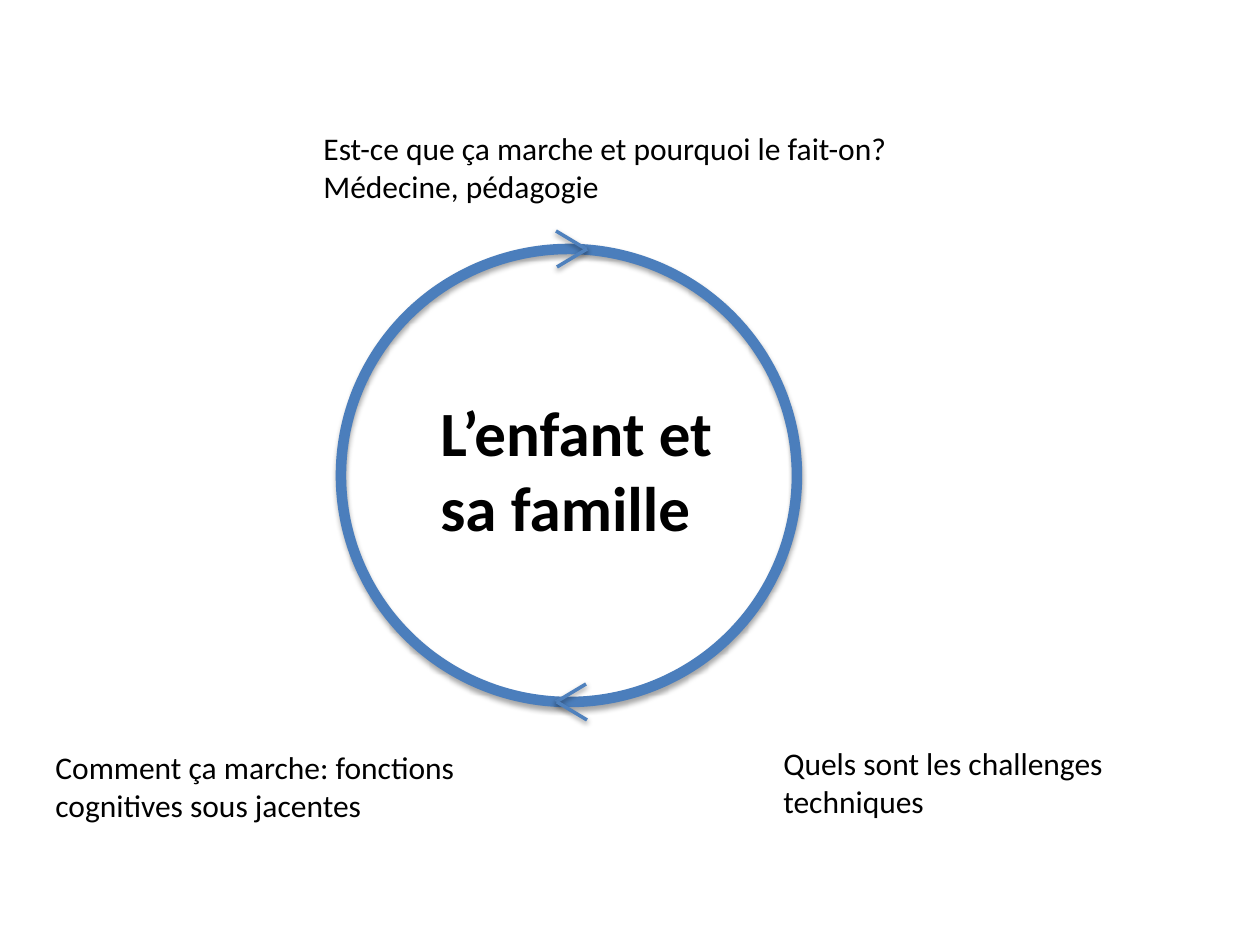
from lxml import etree
from pptx import Presentation
from pptx import util as u
from pptx.dml.color import RGBColor
from pptx.enum import shapes, text
from pptx.oxml import ns

PX_PER_INCH = 126
BLACK = RGBColor(0x00, 0x00, 0x00)
RING_BLUE = RGBColor(0x4B, 0x7E, 0xBC)
ARROW_BLUE = RGBColor(0x4F, 0x81, 0xBD)
FONT = "Calibri"


def px(length):
    """Turn a length in px into EMU."""
    return u.Emu(round(length * u.Inches(1) / PX_PER_INCH))


def add_shadow(shape, distance, opacity):
    """Give a shape a soft black shadow straight below it."""
    properties = shape._element.spPr
    effects = etree.SubElement(properties, ns.qn("a:effectLst"))
    shadow = etree.SubElement(
        effects, ns.qn("a:outerShdw"), blurRad=str(u.Pt(3.1)),
        dist=str(u.Pt(distance)), dir="5400000", rotWithShape="0")
    color = etree.SubElement(shadow, ns.qn("a:srgbClr"), val=str(BLACK))
    etree.SubElement(color, ns.qn("a:alpha"), val=str(opacity * 1000))


def add_text(page, content, left, top, width, height, size=18, bold=False):
    """Add a wrapped text box with one paragraph per line of content."""
    box = page.shapes.add_textbox(px(left), px(top), px(width), px(height))
    frame = box.text_frame
    frame.word_wrap = True
    frame.auto_size = text.MSO_AUTO_SIZE.SHAPE_TO_FIT_TEXT
    frame.text = content
    for para in frame.paragraphs:
        para.font.name = FONT
        para.font.size = u.Pt(size)
        para.font.bold = bold
        para.font.color.rgb = BLACK


def add_ring(page, left, top, width, height):
    """Add the unfilled circle of the cycle."""
    ring = page.shapes.add_shape(
        shapes.MSO_SHAPE.OVAL, px(left), px(top), px(width), px(height))
    ring.fill.background()
    ring.line.color.rgb = RING_BLUE
    ring.line.width = u.Pt(6)
    add_shadow(ring, distance=1.8, opacity=35)


def add_stroke(page, start, end):
    """Add one straight stroke of an arrowhead."""
    stroke = page.shapes.add_connector(
        shapes.MSO_CONNECTOR.STRAIGHT, *map(px, start + end))
    stroke.line.color.rgb = ARROW_BLUE
    stroke.line.width = u.Pt(2)
    add_shadow(stroke, distance=1.6, opacity=38)


def add_arrowhead(page, middle, tip_y, direction):
    """Add an open arrowhead pointing right (1) or left (-1)."""
    for side, offset in ((-1, 0), (1, 1)):
        center = middle + offset
        tail = (center - 15 * direction, tip_y + 18 * side)
        add_stroke(page, tail, (center + 15 * direction, tip_y))


def main():
    """Build the slide and save it."""
    deck = Presentation()
    deck.slide_width, deck.slide_height = px(1260), px(945)
    page = deck.slides.add_slide(deck.slide_layouts[6])
    add_text(page, "Est-ce que ça marche et pourquoi le fait-on? Médecine, pédagogie",
             311, 123, 611, 89)
    add_text(page, "Quels sont les challenges techniques", 771, 738, 461, 89)
    add_text(page, "Comment ça marche: fonctions cognitives sous jacentes",
             43, 742, 461, 89)
    ring_top, ring_height = 249, 453
    add_ring(page, 341, ring_top, 456, ring_height)
    add_arrowhead(page, 571, ring_top, direction=1)
    add_arrowhead(page, 571, ring_top + ring_height, direction=-1)
    add_text(page, "L’enfant et\nsa famille", 428, 387, 321, 165, size=36, bold=True)
    deck.save("out.pptx")


if __name__ == "__main__":
    main()
